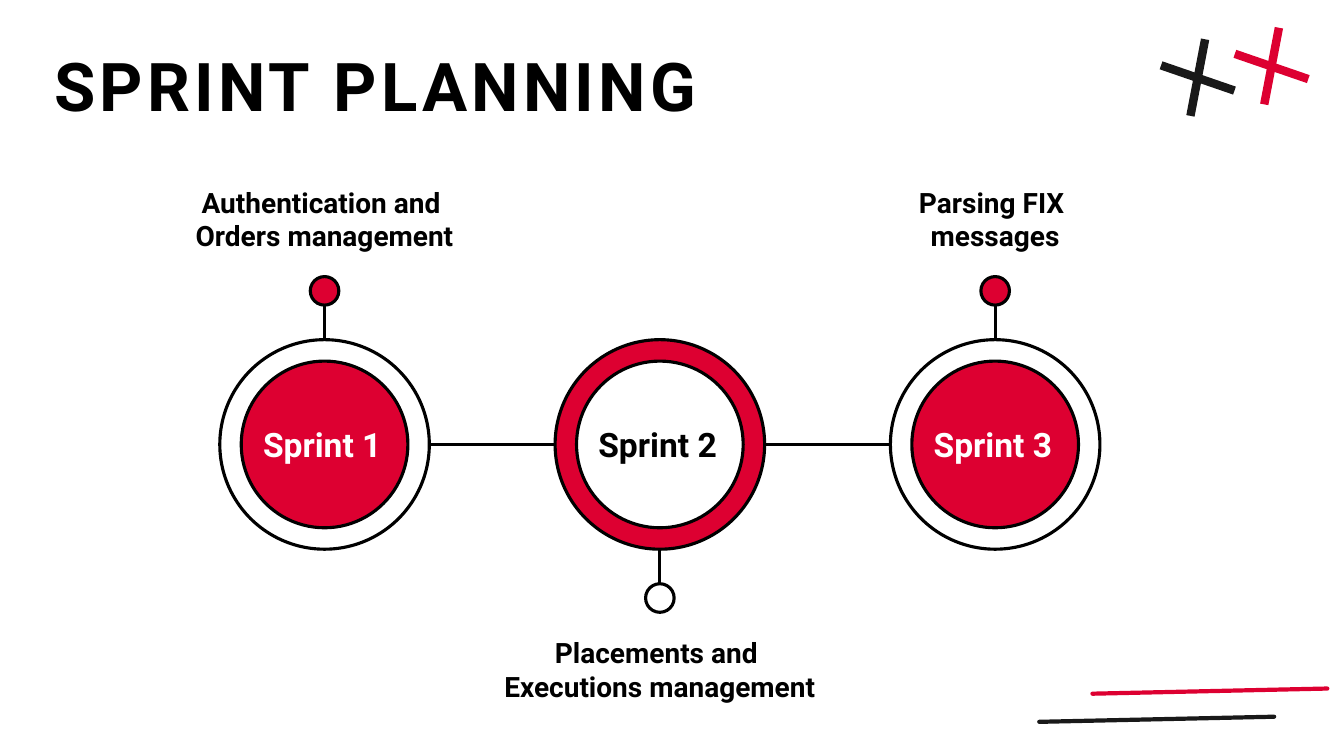
from collections import namedtuple

from lxml import etree
from pptx import Presentation
from pptx.dml.color import RGBColor
from pptx.enum.shapes import MSO_CONNECTOR, MSO_SHAPE
from pptx.enum.text import MSO_ANCHOR as Anchor, MSO_AUTO_SIZE as AutoSize, PP_ALIGN as Align
from pptx.oxml.ns import qn
from pptx.util import Cm, Pt

COLORS = {"red": "DD0031", "black": "000000", "ink": "191919", "white": "FFFFFF"}
FONT = "Roboto"
OUTLINE = 2.25

# All lengths are in centimetres.
Box = namedtuple("Box", "left top width height")
Sprint = namedtuple("Sprint", "name caption caption_width side ring disc text")

UP, DOWN = -1, 1
SPRINTS = [
    Sprint("Sprint 1", ["Authentication and ", "Orders management"], 7.75, UP,
           "white", "red", "white"),
    Sprint("Sprint 2", ["Placements and ", "Executions management"], 9.17, DOWN,
           "red", "white", "black"),
    Sprint("Sprint 3", ["Parsing FIX ", "messages"], 4.65, UP,
           "white", "red", "white"),
]
RING = 5.28
DISC = 4.2
DOT = 0.72
DOT_DISTANCE = 3.87
CAPTION_DISTANCE = 4.7
CAPTION_HEIGHT = 1.96
NAME_OFFSET = 1.8
NAME_WIDTH = 3.95
NAME_HEIGHT = 1.2
FIRST_RING = Box(5.54, 8.56, RING, RING)
SPRINT_PITCH = 8.45


def rgb(color):
    return RGBColor.from_string(COLORS[color])


def add_line(page, start, end, color, width, round_cap=False):
    points = [Cm(value) for value in (*start, *end)]
    line = page.shapes.add_connector(MSO_CONNECTOR.STRAIGHT, *points)
    line.line.color.rgb = rgb(color)
    line.line.width = Pt(width)
    if round_cap:
        line.line._get_or_add_ln().set("cap", "rnd")
    etree.SubElement(line._element.spPr, qn("a:effectLst"))


def add_circle(page, center_x, center_y, diameter, fill):
    circle = page.shapes.add_shape(
        MSO_SHAPE.OVAL, Cm(center_x - diameter / 2), Cm(center_y - diameter / 2),
        Cm(diameter), Cm(diameter))
    circle.shadow.inherit = False
    circle.fill.solid()
    circle.fill.fore_color.rgb = rgb(fill)
    circle.line.color.rgb = rgb("black")
    circle.line.width = Pt(OUTLINE)


def write_lines(frame, lines, size, color, align):
    for index, text in enumerate(lines):
        para = frame.paragraphs[0] if index == 0 else frame.add_paragraph()
        para.alignment = align
        span = para.add_run()
        span.text = text
        span.font.name = FONT
        span.font.size = Pt(size)
        span.font.bold = True
        span.font.color.rgb = rgb(color)


def add_text(page, box, lines, size, color, align, anchor, wrap):
    frame = page.shapes.add_textbox(*[Cm(value) for value in box]).text_frame
    frame.word_wrap = wrap
    frame.vertical_anchor = anchor
    write_lines(frame, lines, size, color, align)


def place_title(page, box, text):
    title = page.shapes.title
    title.left, title.top, title.width, title.height = [Cm(value) for value in box]
    frame = title.text_frame
    frame.auto_size = AutoSize.NONE
    frame.word_wrap = True
    frame.vertical_anchor = Anchor.TOP
    write_lines(frame, [text], 48, "black", Align.LEFT)
    frame.paragraphs[0].runs[0].font._element.set("spc", "300")


def add_cross(page, box, color):
    def point(across, down):
        return box.left + across * box.width, box.top + down * box.height

    add_line(page, point(0.6, 0), point(0.4, 1), color, 6)
    add_line(page, point(0, 0.34), point(1, 0.67), color, 6)


def add_rising_stroke(page, box, color):
    add_line(page, (box.left, box.top + box.height), (box.left + box.width, box.top),
             color, 3, round_cap=True)


def add_sprint(page, box, sprint):
    """Draw a sprint whose outer ring fills the box, with its dot and caption."""
    center_x = box.left + box.width / 2
    center_y = box.top + box.height / 2
    dot_y = center_y + sprint.side * DOT_DISTANCE
    ring_edge = center_y + sprint.side * box.height / 2

    add_circle(page, center_x, center_y, box.width, sprint.ring)
    add_circle(page, center_x, center_y, DISC, sprint.disc)
    add_line(page, (center_x, dot_y - sprint.side * DOT / 2), (center_x, ring_edge),
             "black", OUTLINE)
    add_circle(page, center_x, dot_y, DOT, sprint.disc)

    name_box = Box(center_x - NAME_OFFSET, center_y - NAME_HEIGHT / 2,
                   NAME_WIDTH, NAME_HEIGHT)
    add_text(page, name_box, [sprint.name], 24, sprint.text,
             Align.LEFT, Anchor.MIDDLE, True)

    caption_y = center_y + sprint.side * (CAPTION_DISTANCE + CAPTION_HEIGHT / 2)
    caption_box = Box(center_x - sprint.caption_width / 2, caption_y - CAPTION_HEIGHT / 2,
                      sprint.caption_width, CAPTION_HEIGHT)
    add_text(page, caption_box, sprint.caption, 20, "black",
             Align.CENTER, Anchor.TOP, False)


def add_timeline(page, first_box):
    middle = first_box.top + first_box.height / 2
    for index, sprint in enumerate(SPRINTS):
        left = first_box.left + index * SPRINT_PITCH
        if index:
            previous_right = left - SPRINT_PITCH + first_box.width
            add_line(page, (previous_right, middle), (left, middle), "black", OUTLINE)
        add_sprint(page, first_box._replace(left=left), sprint)


def main():
    deck = Presentation()
    deck.slide_width, deck.slide_height = Cm(33.87), Cm(19.05)
    page = deck.slides.add_slide(deck.slide_layouts.get_by_name("Title Only"))
    page.background.fill.solid()
    page.background.fill.fore_color.rgb = rgb("white")

    place_title(page, Box(1.12, 0.99, 18.34, 2.31), "SPRINT PLANNING")
    add_cross(page, Box(29.26, 0.99, 1.85, 1.93), "ink")
    add_cross(page, Box(31.12, 0.7, 1.85, 1.93), "red")
    add_timeline(page, FIRST_RING)
    add_rising_stroke(page, Box(26.19, 18.06, 5.92, 0.13), "ink")
    add_rising_stroke(page, Box(27.53, 17.35, 5.92, 0.13), "red")

    deck.save("out.pptx")


if __name__ == "__main__":
    main()
